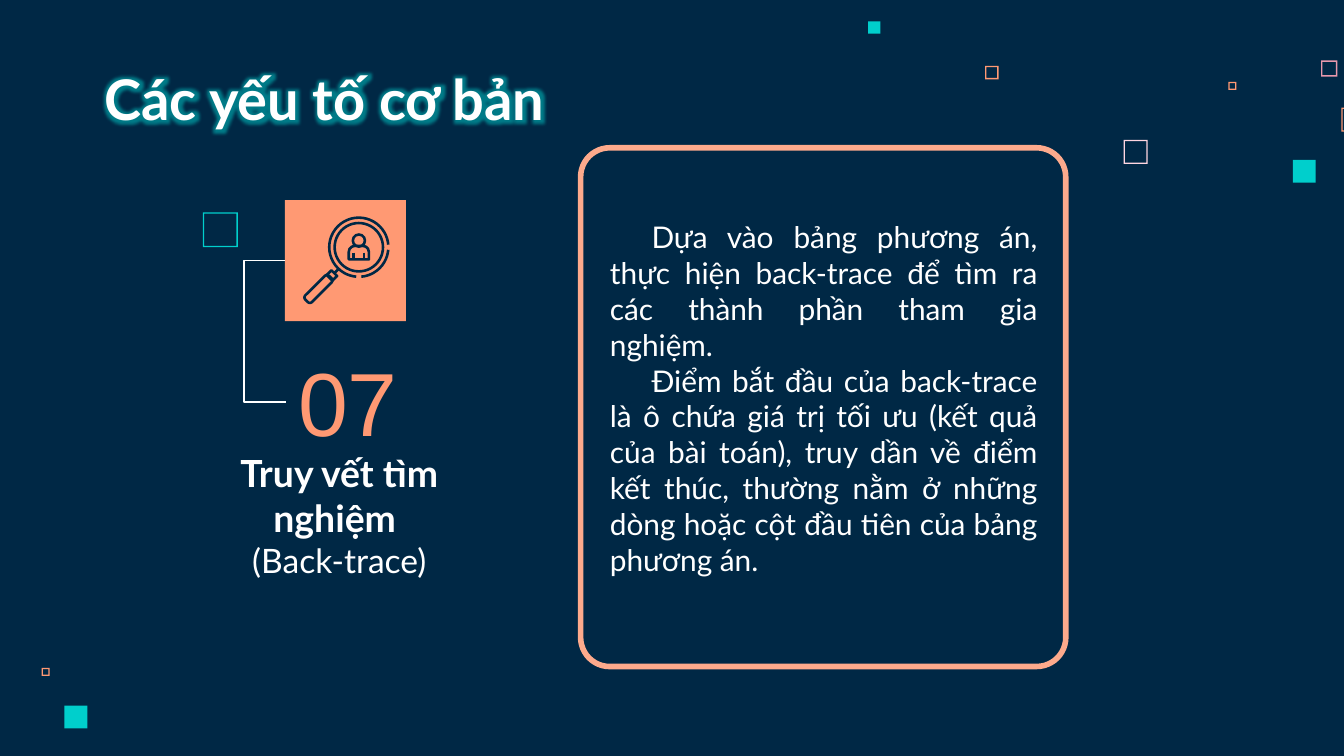
from lxml import etree
from pptx import Presentation
from pptx.dml.color import RGBColor
from pptx.enum.shapes import MSO_CONNECTOR, MSO_SHAPE
from pptx.enum.text import MSO_ANCHOR, MSO_AUTO_SIZE, PP_ALIGN
from pptx.oxml.ns import qn
from pptx.util import Inches, Pt

RECT, FRAME = MSO_SHAPE.RECTANGLE, MSO_SHAPE.FRAME
OVAL, ARC = MSO_SHAPE.OVAL, MSO_SHAPE.ARC
ROUNDED, SHOULDERS = MSO_SHAPE.ROUNDED_RECTANGLE, MSO_SHAPE.ROUND_2_SAME_RECTANGLE
STRAIGHT, ELBOW = MSO_CONNECTOR.STRAIGHT, MSO_CONNECTOR.ELBOW
TOP, MIDDLE, BOTTOM = MSO_ANCHOR.TOP, MSO_ANCHOR.MIDDLE, MSO_ANCHOR.BOTTOM
LEFT, CENTER, JUSTIFY = PP_ALIGN.LEFT, PP_ALIGN.CENTER, PP_ALIGN.JUSTIFY

COLORS = {
    "navy": "002845",
    "teal": "00CFCC",
    "orange": "FF9973",
    "peach": "FDAA8C",
    "pink": "FFD6E1",
    "rose": "E898AC",
    "white": "FFFFFF",
}
FRAME_WALL = 0.01
ICON_STROKE = 1.4

HOLLOW_SQUARES = [
    (8.36, 1.04, 0.18, "pink"),
    (9.83, 0.45, 0.12, "rose"),
    (9.14, 0.61, 0.06, "orange"),
    (9.98, 0.8, 0.18, "orange"),
    (7.33, 0.49, 0.1, "orange"),
    (0.31, 4.97, 0.06, "orange"),
    (1.51, 1.58, 0.26, "teal"),
]
SOLID_SQUARES = [
    (9.62, 1.19, 0.17, "teal"),
    (6.46, 0.16, 0.09, "teal"),
    (0.48, 5.25, 0.17, "teal"),
    (2.12, 1.49, 0.9, "orange"),
]
EXPLANATION = [
    "Dựa vào bảng phương án, thực hiện back-trace để tìm ra các thành phần "
    "tham gia nghiệm.",
    "Điểm bắt đầu của back-trace là ô chứa giá trị tối ưu (kết quả của bài toán), "
    "truy dần về điểm kết thúc, thường nằm ở những dòng hoặc cột đầu tiên của "
    "bảng phương án.",
]


def rgb(name):
    """Return the named palette colour."""
    return RGBColor.from_string(COLORS[name])


def add_form(slide, kind, box, fill=None, line=None, width=ICON_STROKE, adjust=()):
    """Add a preset shape with an optional fill and outline."""
    form = slide.shapes.add_shape(kind, *map(Inches, box))
    form.shadow.inherit = False
    if fill:
        form.fill.solid()
        form.fill.fore_color.rgb = rgb(fill)
    else:
        form.fill.background()
    if line:
        form.line.color.rgb = rgb(line)
        form.line.width = Pt(width)
    else:
        form.line.fill.background()
    for index, value in enumerate(adjust):
        form.adjustments[index] = value
    return form


def add_line(slide, kind, start, end, color, width):
    """Add a connector without a shadow."""
    connector = slide.shapes.add_connector(kind, *map(Inches, (*start, *end)))
    connector.line.color.rgb = rgb(color)
    connector.line.width = Pt(width)
    etree.SubElement(connector.element.spPr, qn("a:effectLst"))
    return connector


def add_text(slide, box, paragraphs, size, color="white", font="Lato", bold=False,
             align=LEFT, anchor=TOP, inset=0.1, indent=0):
    """Add a wrapped text box with uniformly formatted paragraphs."""
    textbox = slide.shapes.add_textbox(*map(Inches, box))
    frame = textbox.text_frame
    frame.text = "\n".join(paragraphs)
    frame.word_wrap = True
    frame.vertical_anchor = anchor
    frame.margin_top = frame.margin_bottom = Inches(inset)
    for paragraph in frame.paragraphs:
        paragraph.alignment = align
        if indent:
            properties = paragraph._p.get_or_add_pPr()
            properties.set("marL", "0")
            properties.set("indent", str(Inches(indent)))
        for run in paragraph.runs:
            run.font.size = Pt(size)
            run.font.name = font
            run.font.bold = bold
            run.font.color.rgb = rgb(color)
    return frame


def add_glow(run, color, radius):
    """Give the letters of a run a soft glow."""
    effects = etree.Element(qn("a:effectLst"))
    glow = etree.SubElement(effects, qn("a:glow"), rad=str(Pt(radius)))
    tint = etree.SubElement(glow, qn("a:srgbClr"), val=COLORS[color])
    etree.SubElement(tint, qn("a:alpha"), val="50000")
    run.font.fill._xPr.find(qn("a:solidFill")).addnext(effects)


def add_bracket(slide, start, end, reach):
    """Add an elbow line that bulges to the left by the given reach."""
    bracket = add_line(slide, ELBOW, start, end, "white", 0.75)
    geometry = bracket.element.spPr.find(qn("a:prstGeom"))
    guides = geometry.find(qn("a:avLst"))
    if guides is None:
        guides = etree.SubElement(geometry, qn("a:avLst"))
    bend = round(-reach / (end[0] - start[0]) * 100000)
    etree.SubElement(guides, qn("a:gd"), name="adj1", fmla=f"val {bend}")


def add_stroke(slide, kind, center, size, adjust=(), rotation=0):
    """Add an outlined icon part around its centre."""
    (x, y), (width, height) = center, size
    box = (x - width / 2, y - height / 2, width, height)
    part = add_form(slide, kind, box, line="navy", adjust=adjust)
    part.rotation = rotation


def add_magnifier(slide):
    """Draw the magnifying glass with a person in its lens."""
    lens = (2.67, 1.84)
    add_stroke(slide, OVAL, lens, (0.36, 0.36))
    for first, last in ((95, 355), (5, 85)):
        angles = [degrees * 0.6 for degrees in (first, last)]
        add_stroke(slide, ARC, lens, (0.44, 0.44), angles)
    add_stroke(slide, ROUNDED, (2.37, 2.15), (0.25, 0.07), [0.3], -45)
    add_stroke(slide, RECT, (2.47, 2.05), (0.05, 0.06), rotation=-45)
    add_line(slide, STRAIGHT, (2.49, 2.03), (2.52, 2), "navy", ICON_STROKE)
    add_stroke(slide, OVAL, (2.67, 1.79), (0.09, 0.09))
    add_stroke(slide, SHOULDERS, (2.67, 1.88), (0.15, 0.1), [0.45, 0])
    for arm in (2.63, 2.71):
        add_line(slide, STRAIGHT, (arm, 1.88), (arm, 1.93), "navy", ICON_STROKE)


def main():
    """Build and save the slide."""
    deck = Presentation()
    deck.slide_width = Inches(10)
    deck.slide_height = Inches(10 * 9 / 16)
    slide = deck.slides.add_slide(deck.slide_layouts[6])
    slide.background.fill.solid()
    slide.background.fill.fore_color.rgb = rgb("navy")

    for x, y, side, color in HOLLOW_SQUARES:
        add_form(slide, FRAME, (x, y, side, side), color, adjust=[FRAME_WALL / side])
    for x, y, side, color in SOLID_SQUARES:
        add_form(slide, RECT, (x, y, side, side), color)

    title = add_text(slide, (0.68, 0.45, 5, 0.63), ["Các yếu tố cơ bản"], 30,
                     bold=True, anchor=BOTTOM)
    add_glow(title.paragraphs[0].runs[0], "teal", 10)

    step = add_text(slide, (1.44, 3.79, 2.17, 0.63),
                    ["Truy vết tìm nghiệm \v(Back-trace)"], 20,
                    bold=True, align=CENTER, anchor=BOTTOM)
    english_name = step.paragraphs[0].runs[-1]
    english_name.font.size = Pt(18)
    english_name.font.bold = False

    add_form(slide, ROUNDED, (4.32, 1.1, 3.61, 3.86), line="peach", width=3,
             adjust=[0.06])
    explanation = add_text(slide, (4.44, 1.58, 3.38, 3.06), EXPLANATION, 16,
                           align=JUSTIFY, inset=0.05, indent=0.31)
    explanation.auto_size = MSO_AUTO_SIZE.SHAPE_TO_FIT_TEXT

    add_text(slide, (2.12, 2.67, 1.92, 0.63), ["07"], 48, color="orange",
             font="Arial", anchor=MIDDLE)
    add_bracket(slide, (2.12, 1.94), (2.13, 2.99), 0.31)
    add_magnifier(slide)
    deck.save("out.pptx")


if __name__ == "__main__":
    main()
